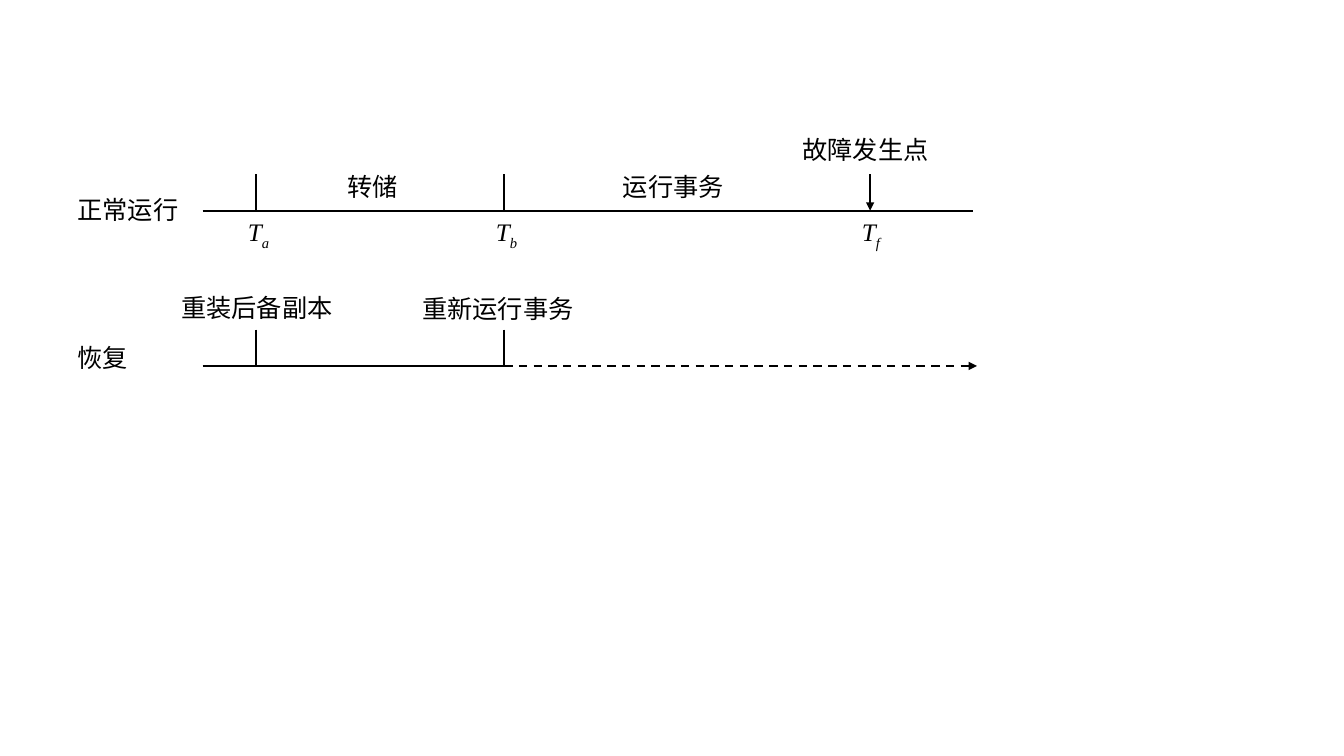
from pptx import Presentation
from pptx.dml.color import RGBColor
from pptx.enum.dml import MSO_LINE
from pptx.enum.shapes import MSO_CONNECTOR
from pptx.enum.text import MSO_AUTO_SIZE
from pptx.oxml.ns import qn
from pptx.util import Inches, Pt
from lxml.etree import SubElement

# Content: times in inches along the axis
TIMES = {"a": 2.54, "b": 5, "f": 8.63}
AXIS_START, AXIS_END, DUMP_END, ARROW_END = 2.01, 9.65, 5.03, 9.69
NORMAL_Y, RECOVERY_Y = 2.09, 3.63
TICK_H = 0.36
LABELS = [  # text, left, top, width
    ("正常运行", 0.67, 1.88, 1.4),
    ("恢复", 0.67, 3.35, 1.4),
    ("转储", 3.35, 1.65, 1.18),
    ("运行事务", 6.08, 1.65, 1.62),
    ("故障发生点", 7.86, 1.28, 1.89),
    ("重装后备副本", 1.7, 2.85, 1.89),
    ("重新运行事务", 4.09, 2.86, 1.89),
]
THEME = {
    "ink": RGBColor(0, 0, 0),
    "cjk": "Noto Sans CJK SC",
    "math": "Times New Roman",
    "size": Pt(18),
    "line": Pt(1.5),
}

prs = Presentation()
prs.slide_width, prs.slide_height = Inches(13.33), Inches(7.5)
slide = prs.slides.add_slide(prs.slide_layouts[6])


def add_line(x1, y1, x2, y2, arrow=False, dashed=False):
    cn = slide.shapes.add_connector(
        MSO_CONNECTOR.STRAIGHT, *(Inches(v) for v in (x1, y1, x2, y2)))
    cn.line.color.rgb = THEME["ink"]
    cn.line.width = THEME["line"]
    if dashed:
        cn.line.dash_style = MSO_LINE.DASH
    if arrow:
        SubElement(cn.line._get_or_add_ln(), qn("a:tailEnd"), type="triangle")
    SubElement(cn._element.spPr, qn("a:effectLst"))


def add_text(left, top, width, text, font, subscript=None):
    box = slide.shapes.add_textbox(
        Inches(left), Inches(top), Inches(width), Inches(0.4))
    tf = box.text_frame
    tf.word_wrap = True
    tf.auto_size = MSO_AUTO_SIZE.SHAPE_TO_FIT_TEXT
    p = tf.paragraphs[0]
    p.font.size = THEME["size"]
    p.font.color.rgb = THEME["ink"]
    p.font.name = font
    p.font.italic = True if subscript else None
    for part in filter(None, (text, subscript)):
        r = p.add_run()
        r.text = part
        SubElement(r._r.get_or_add_rPr(), qn("a:ea"), typeface=font)
    if subscript:
        r.font._element.set("baseline", "-25000")


# Axes
add_line(AXIS_START, NORMAL_Y, AXIS_END, NORMAL_Y)
add_line(AXIS_START, RECOVERY_Y, DUMP_END, RECOVERY_Y)
add_line(TIMES["b"], RECOVERY_Y, ARROW_END, RECOVERY_Y, arrow=True, dashed=True)

# Ticks, with an arrow at the failure point
for y, names in ((NORMAL_Y, "abf"), (RECOVERY_Y, "ab")):
    for name in names:
        add_line(TIMES[name], y - TICK_H, TIMES[name], y, arrow=name == "f")

# Time symbols and labels
for name, x in TIMES.items():
    add_text(x - 0.18, 2.1, 0.59, "T", THEME["math"], name)
for text, left, top, width in LABELS:
    add_text(left, top, width, text, THEME["cjk"])

prs.save("out.pptx")
